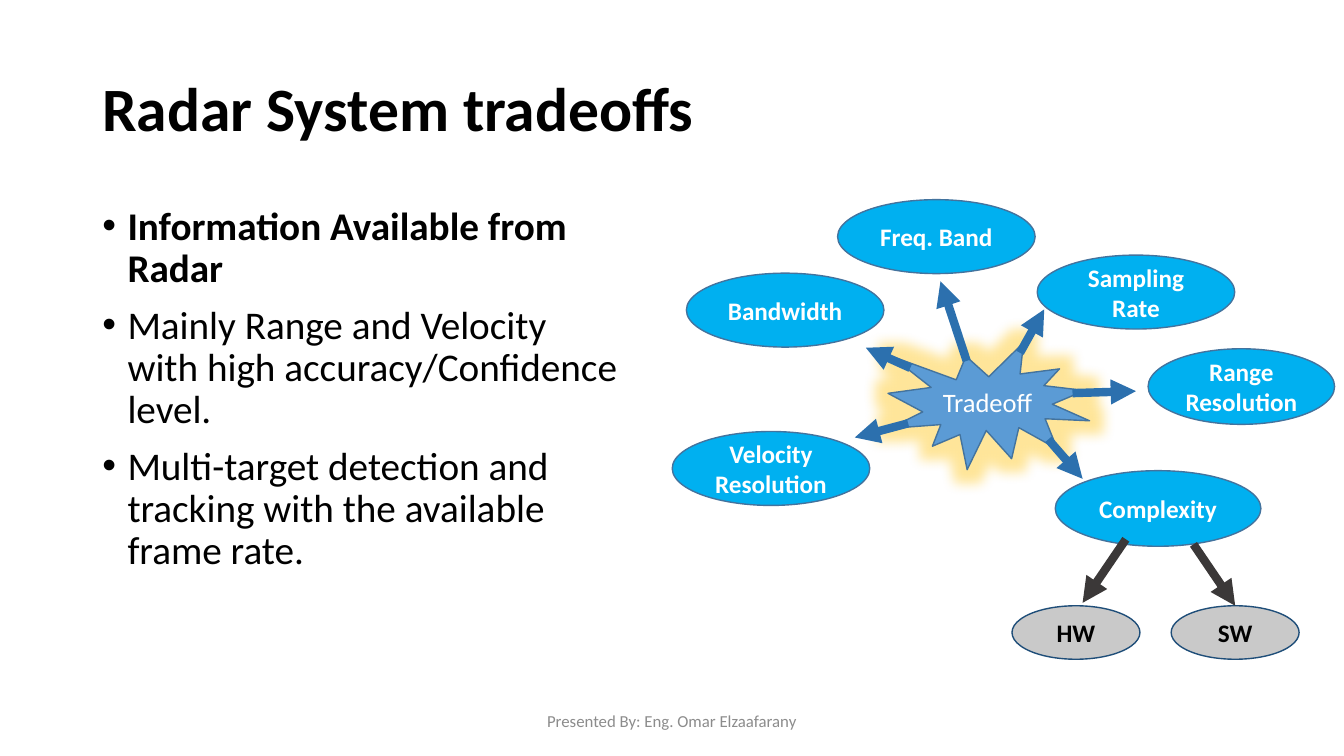
from lxml.etree import SubElement
from pptx import Presentation
from pptx.dml.color import RGBColor
from pptx.enum.shapes import MSO_CONNECTOR, MSO_SHAPE
from pptx.enum.text import MSO_ANCHOR, PP_ALIGN
from pptx.oxml.ns import qn
from pptx.util import Pt

BLACK = RGBColor(0x00, 0x00, 0x00)
WHITE = RGBColor(0xFF, 0xFF, 0xFF)
FOOTER_GRAY = RGBColor(0x8C, 0x8C, 0x8C)
STAR_BLUE = RGBColor(0x5B, 0x9B, 0xD5)
FACTOR_BLUE = RGBColor(0x00, 0xB0, 0xF0)
EDGE_BLUE = RGBColor(0x43, 0x73, 0x9E)
ARROW_BLUE = RGBColor(0x2C, 0x70, 0xAE)
PART_GRAY = RGBColor(0xC9, 0xC9, 0xC9)
PART_EDGE = RGBColor(0x1F, 0x4E, 0x79)
ARROW_DARK = RGBColor(0x3B, 0x38, 0x38)
GLOW_YELLOW = RGBColor(0xFF, 0xC0, 0x00)
FONT = "Calibri"

BULLETS = [
    ("Information Available from Radar", True),
    ("Mainly Range and Velocity with high accuracy/Confidence level.", False),
    ("Multi-target detection and tracking with the available frame rate.", False),
]
FACTORS = [
    ("Bandwidth", 490.3, 195.1, 141.1, 52.8),
    ("Range Resolution", 820.1, 249.1, 133.2, 54),
    ("Sampling Rate", 740.9, 182.2, 141.1, 52.8),
    ("Velocity Resolution", 480.2, 308.2, 141.1, 52.8),
    ("Complexity", 753.8, 336.2, 146.9, 54),
    ("Freq. Band", 598.3, 142.6, 141.1, 52.8),
]
FACTOR_ARROWS = [
    ((650.2, 262.8), (618.5, 248.4)),
    ((766.1, 280.8), (811.4, 279.4)),
    ((728.6, 252), (745.9, 221)),
    ((648.7, 302.4), (610.6, 312.5)),
    ((748.8, 313.9), (773.3, 342)),
    ((690.5, 257.8), (671.8, 200.9)),
]


def add_span(para, text, size, color, bold=False):
    """Append one formatted run to a paragraph."""
    span = para.add_run()
    span.text = text
    span.font.name = FONT
    span.font.size = Pt(size)
    span.font.bold = bold
    span.font.color.rgb = color


def add_box(page, left, top, width, height, anchor):
    """Add a wrapping text box and return its text frame."""
    box = page.shapes.add_textbox(Pt(left), Pt(top), Pt(width), Pt(height))
    frame = box.text_frame
    frame.word_wrap = True
    frame.vertical_anchor = anchor
    return frame


def add_bullets(frame):
    """Write the bulleted paragraphs into a text frame."""
    for index, (text, bold) in enumerate(BULLETS):
        para = frame.paragraphs[0] if index == 0 else frame.add_paragraph()
        properties = para._p.get_or_add_pPr()
        properties.set("marL", str(Pt(18)))
        properties.set("indent", str(Pt(-18)))
        SubElement(properties, qn("a:buFont"), typeface="Arial")
        SubElement(properties, qn("a:buChar"), char="•")
        para.line_spacing = 0.9
        if index:
            para.space_before = Pt(10)
        add_span(para, text, 28, BLACK, bold)


def add_node(page, kind, place, text, fill, edge, color, size=18, bold=True):
    """Add a filled shape with a centred label."""
    shape = page.shapes.add_shape(kind, *map(Pt, place))
    shape.shadow.inherit = False
    shape.fill.solid()
    shape.fill.fore_color.rgb = fill
    shape.line.color.rgb = edge
    shape.line.width = Pt(1)
    frame = shape.text_frame
    frame.word_wrap = True
    frame.vertical_anchor = MSO_ANCHOR.MIDDLE
    para = frame.paragraphs[0]
    para.alignment = PP_ALIGN.CENTER
    add_span(para, text, size, color, bold)
    return shape


def add_glow(shape):
    """Surround a shape with a translucent glow."""
    effects = shape._element.spPr.find(qn("a:effectLst"))
    glow = SubElement(effects, qn("a:glow"), rad=str(Pt(18)))
    color = SubElement(glow, qn("a:srgbClr"), val=str(GLOW_YELLOW))
    SubElement(color, qn("a:alpha"), val="40000")


def add_arrow(page, start, end, color):
    """Add a thick straight arrow and return it."""
    arrow = page.shapes.add_connector(
        MSO_CONNECTOR.STRAIGHT, *map(Pt, start + end)
    )
    arrow.line.color.rgb = color
    arrow.line.width = Pt(6)
    SubElement(arrow.line._get_or_add_ln(), qn("a:tailEnd"), type="triangle")
    SubElement(arrow._element.spPr, qn("a:effectLst"))
    return arrow


def main():
    """Build and save the radar tradeoffs slide."""
    deck = Presentation()
    deck.slide_width, deck.slide_height = Pt(960), Pt(540)
    page = deck.slides.add_slide(deck.slide_layouts[6])

    title = add_box(page, 66, 27.4, 828, 104.4, MSO_ANCHOR.MIDDLE).paragraphs[0]
    title.line_spacing = 0.9
    add_span(title, "Radar System tradeoffs", 44, BLACK, True)
    add_bullets(add_box(page, 66, 144, 386, 342.7, MSO_ANCHOR.TOP))
    footer = add_box(page, 318, 500.5, 324, 28.8, MSO_ANCHOR.MIDDLE).paragraphs[0]
    footer.alignment = PP_ALIGN.CENTER
    add_span(footer, "Presented By: Eng. Omar Elzaafarany", 12, FOOTER_GRAY)

    star = add_node(page, MSO_SHAPE.EXPLOSION1, (634.3, 244.8, 144, 90.7),
                    "Tradeoff", STAR_BLUE, EDGE_BLUE, WHITE, 19, False)
    add_glow(star)
    for start, end in FACTOR_ARROWS:
        add_arrow(page, start, end, ARROW_BLUE)
    for text, *place in FACTORS:
        add_node(page, MSO_SHAPE.OVAL, place, text, FACTOR_BLUE, EDGE_BLUE, WHITE)

    add_arrow(page, (804.2, 385.2), (773.3, 430.6), ARROW_DARK)
    add_node(page, MSO_SHAPE.OVAL, (722.9, 432.7, 91.4, 38.2), "HW",
             PART_GRAY, PART_EDGE, BLACK)
    software = add_node(page, MSO_SHAPE.OVAL, (836.6, 432.7, 91.4, 38.2), "SW",
                        PART_GRAY, PART_EDGE, BLACK)
    software_arrow = add_arrow(page, (852.5, 388.8), (882.3, 432.7), ARROW_DARK)
    software_arrow.end_connect(software, 0)

    deck.save("out.pptx")


if __name__ == "__main__":
    main()
